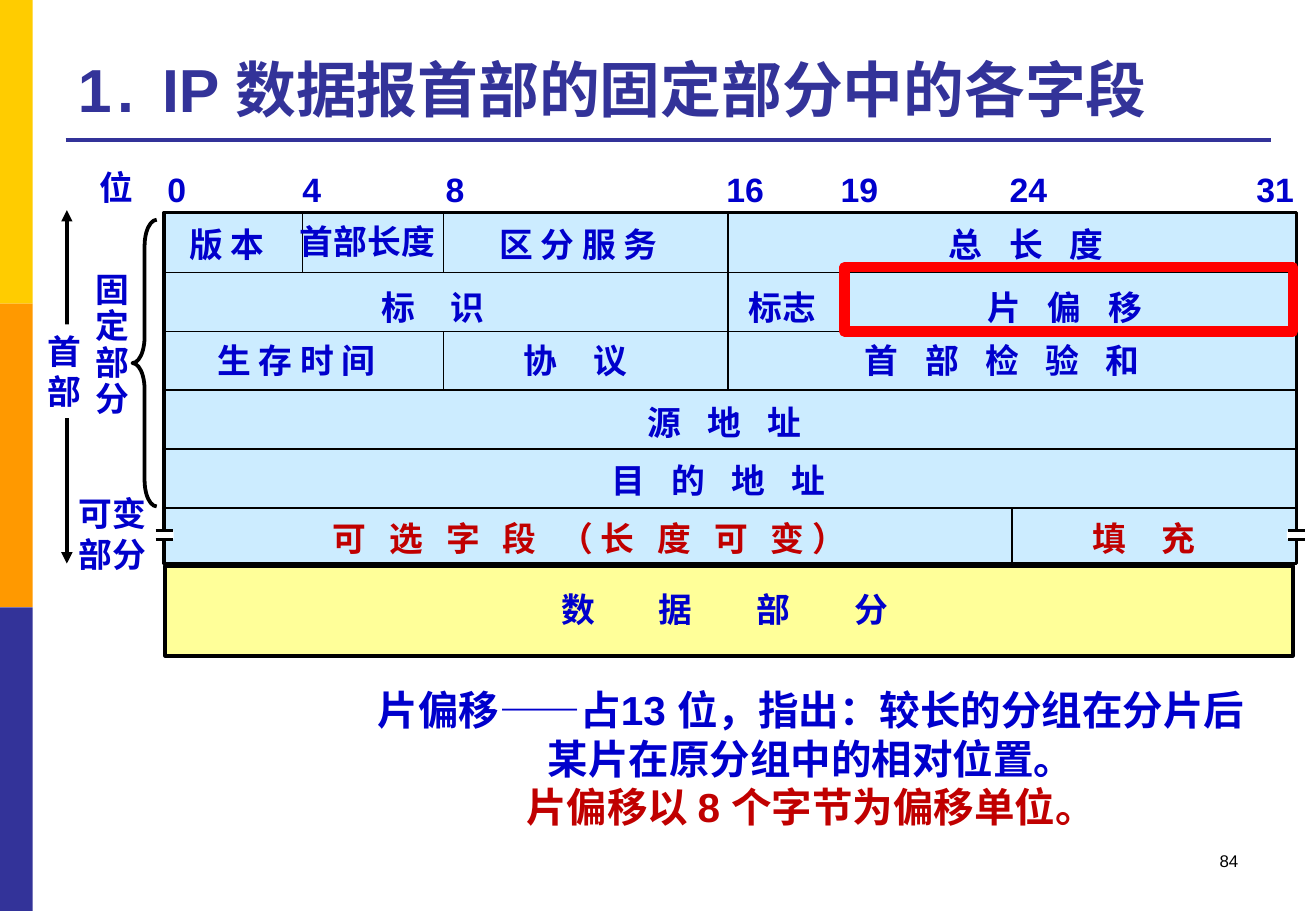
from lxml import etree
from pptx import Presentation
from pptx.dml.color import RGBColor
from pptx.enum import shapes, text
from pptx.oxml import ns
from pptx.util import Inches, Pt

BLUE = RGBColor(0x00, 0x00, 0xCC)
CRIMSON = RGBColor(0xC0, 0x00, 0x00)
RED = RGBColor(0xFF, 0x00, 0x00)
INDIGO = RGBColor(0x33, 0x33, 0x99)
GOLD = RGBColor(0xFF, 0xCC, 0x00)
ORANGE = RGBColor(0xFF, 0x99, 0x00)
SKY = RGBColor(0xCC, 0xEC, 0xFF)
YELLOW = RGBColor(0xFF, 0xFF, 0x99)
BLACK = RGBColor(0x00, 0x00, 0x00)
WHITE = RGBColor(0xFF, 0xFF, 0xFF)

TITLE = [("1. ", 3.33), ("IP 数据报首部的固定部分中的各字段", 0)]
STRIPES = [GOLD, ORANGE, INDIGO]
BIT_LABELS = [("0", 1.28, 0.36), ("4", 2.39, 0.36), ("8", 3.57, 0.36), ("16", 5.88, 0.51),
              ("19", 6.82, 0.51), ("24", 8.21, 0.51), ("31", 10.24, 0.51)]
FIELD_ROWS = [
    (1.79, [("版 本", 1.46, 0.84, 0), ("区 分 服 务", 4.01, 1.56, 0), ("总 长 度", 7.71, 1.51, 5.56)]),
    (1.77, [("首部长度", 2.37, 1.32, 0)]),
    (2.31, [("标 识", 3.04, 1.07, 8.34), ("标志", 6.06, 0.76, 0), ("片 偏 移", 8.03, 1.51, 5.56)]),
    (2.75, [("生 存 时 间", 1.69, 1.56, 0), ("协 议", 4.21, 1.07, 8.34),
            ("首 部 检 验 和", 7.02, 2.54, 5.56)]),
    (3.26, [("源 地 址", 5.23, 1.51, 5.56)]),
    (3.74, [("目 的 地 址", 4.93, 2.02, 5.56)]),
]
OPTION_FIELDS = [("可 选 字 段 （长 度 可 变）", 2.64, 4.56, 4.5), ("填 充", 8.89, 1.07, 8.34)]
DIVIDERS = [(2.49, 0, 1), (3.65, 0, 1), (3.65, 2, 3), (5.99, 0, 3), (6.94, 1, 2), (8.33, 5, 6)]
NOTES = [("片偏移——占13 位，指出：较长的分组在分片后", BLUE),
         ("某片在原分组中的相对位置。", BLUE),
         ("片偏移以 8 个字节为偏移单位。", CRIMSON)]

GRID_LEFT, GRID_RIGHT, GRID_TOP, ROW_HEIGHT, ROWS = 1.34, 10.68, 1.76, 0.484, 6

deck = Presentation()
deck.slide_width, deck.slide_height = Inches(10.83), Inches(7.5)
page = deck.slides.add_slide(deck.slide_layouts[5])


def assign(target, values):
    for name, value in values.items():
        setattr(target, name, value)


def add_span(para, words, size, color, bold=True, spacing=0):
    span = para.add_run()
    span.text = words
    assign(span.font, {"name": "Arial", "size": Pt(size), "bold": bold})
    span.font.color.rgb = color
    if spacing:
        span.font._element.set("spc", str(round(spacing * 100)))


def fill_text(box, lines, size=20, bold=True, spacing=0, wrap=False, **para_format):
    frame = box.text_frame
    fit = text.MSO_AUTO_SIZE.NONE if wrap else text.MSO_AUTO_SIZE.SHAPE_TO_FIT_TEXT
    assign(frame, {"word_wrap": wrap, "auto_size": fit, "vertical_anchor": text.MSO_ANCHOR.TOP})
    for index, (words, color) in enumerate(lines):
        para = frame.add_paragraph() if index else frame.paragraphs[0]
        assign(para, {"alignment": text.PP_ALIGN.LEFT, **para_format})
        add_span(para, words, size, color, bold, spacing)


def add_label(lines, left, top, width, height=0.43, **options):
    box = page.shapes.add_textbox(*map(Inches, (left, top, width, height)))
    fill_text(box, lines, **options)


def add_box(left, top, width, height, fill=None, line=None, weight=1.0,
            kind=shapes.MSO_SHAPE.RECTANGLE):
    box = page.shapes.add_shape(kind, *map(Inches, (left, top, width, height)))
    box.shadow.inherit = False
    if fill is None:
        box.fill.background()
    else:
        box.fill.solid()
        box.fill.fore_color.rgb = fill
    if line is None:
        box.line.fill.background()
    else:
        box.line.color.rgb = line
        box.line.width = Pt(weight)
    return box


def add_line(x1, y1, x2, y2, weight=1.0, color=BLACK, arrows=False):
    line = page.shapes.add_connector(shapes.MSO_CONNECTOR.STRAIGHT, *map(Inches, (x1, y1, x2, y2)))
    line.line.color.rgb = color
    line.line.width = Pt(weight)
    if arrows:
        for end in ("a:headEnd", "a:tailEnd"):
            etree.SubElement(line.line._ln, ns.qn(end), type="triangle")
    etree.SubElement(line._element.spPr, ns.qn("a:effectLst"))


def row_y(row):
    return GRID_TOP + row * ROW_HEIGHT


for index, color in enumerate(STRIPES):
    add_box(0, 2.5 * index, 0.27, 2.5, color)
add_line(0.54, 1.15, 10.46, 1.15, 2.25, INDIGO)

title = page.shapes.title
assign(title, {"left": Inches(0.54), "top": Inches(0.21),
               "width": Inches(9.91), "height": Inches(0.87)})
assign(title.text_frame, {"vertical_anchor": text.MSO_ANCHOR.BOTTOM, "word_wrap": True,
                          "auto_size": text.MSO_AUTO_SIZE.NONE})
heading = title.text_frame.paragraphs[0]
heading.alignment = text.PP_ALIGN.LEFT
for words, spacing in TITLE:
    add_span(heading, words, 36, INDIGO, spacing=spacing)

add_label([(word, BLUE) for word in "固定部分"], 0.69, 2.2, 0.48, 1.31, line_spacing=0.9)
add_label([("可变", BLUE), ("部分", BLUE)], 0.55, 4.01, 0.76, 0.77)
add_label([("位", BLUE)], 0.72, 1.32, 0.48)

add_box(1.35, 1.75, 9.32, 2.89, SKY, BLACK, 2)
add_box(1.36, 4.66, 9.28, 0.74, YELLOW, BLACK, 2.25)
for row in range(1, ROWS):
    add_line(GRID_LEFT, row_y(row), GRID_RIGHT, row_y(row))
for x, first, last in DIVIDERS:
    add_line(x, row_y(first), x, row_y(last))

for bit, left, width in BIT_LABELS:
    add_label([(bit, BLUE)], left, 1.34, width)
colored_rows = [(top, fields, BLUE) for top, fields in FIELD_ROWS]
for top, fields, color in colored_rows + [(4.21, OPTION_FIELDS, CRIMSON)]:
    for words, left, width, spacing in fields:
        add_label([(words, color)], left, top, width, spacing=spacing)
add_label([("数 据 部 分", BLUE)], 4.52, 4.8, 3.45, spacing=16.68, wrap=True)

for left in (1.27, 10.59):
    add_box(left, 4.37, 0.16, 0.07, WHITE)
    for y in (4.37, 4.44):
        add_line(left + 0.01, y, left + 0.15, y, 2)

add_line(0.55, 1.73, 0.55, 4.64, 2.25, arrows=True)
header_label = add_box(0.29, 2.67, 0.48, 0.77, WHITE)
fill_text(header_label, [("首", BLUE), ("部", BLUE)])
brace = add_box(1.09, 1.81, 0.2, 2.36, None, BLACK, 2.25, shapes.MSO_SHAPE.LEFT_BRACE)
brace.adjustments[0] = 1.08

add_label(NOTES, 2.91, 5.59, 7.53, 1.31, size=24, alignment=text.PP_ALIGN.CENTER)
add_box(6.95, 2.2, 3.69, 0.53, None, RED, 6)
add_label([("84", BLACK)], 7.76, 6.95, 2.53, 0.5, size=10, bold=False, wrap=True,
          alignment=text.PP_ALIGN.RIGHT)

deck.save("out.pptx")
